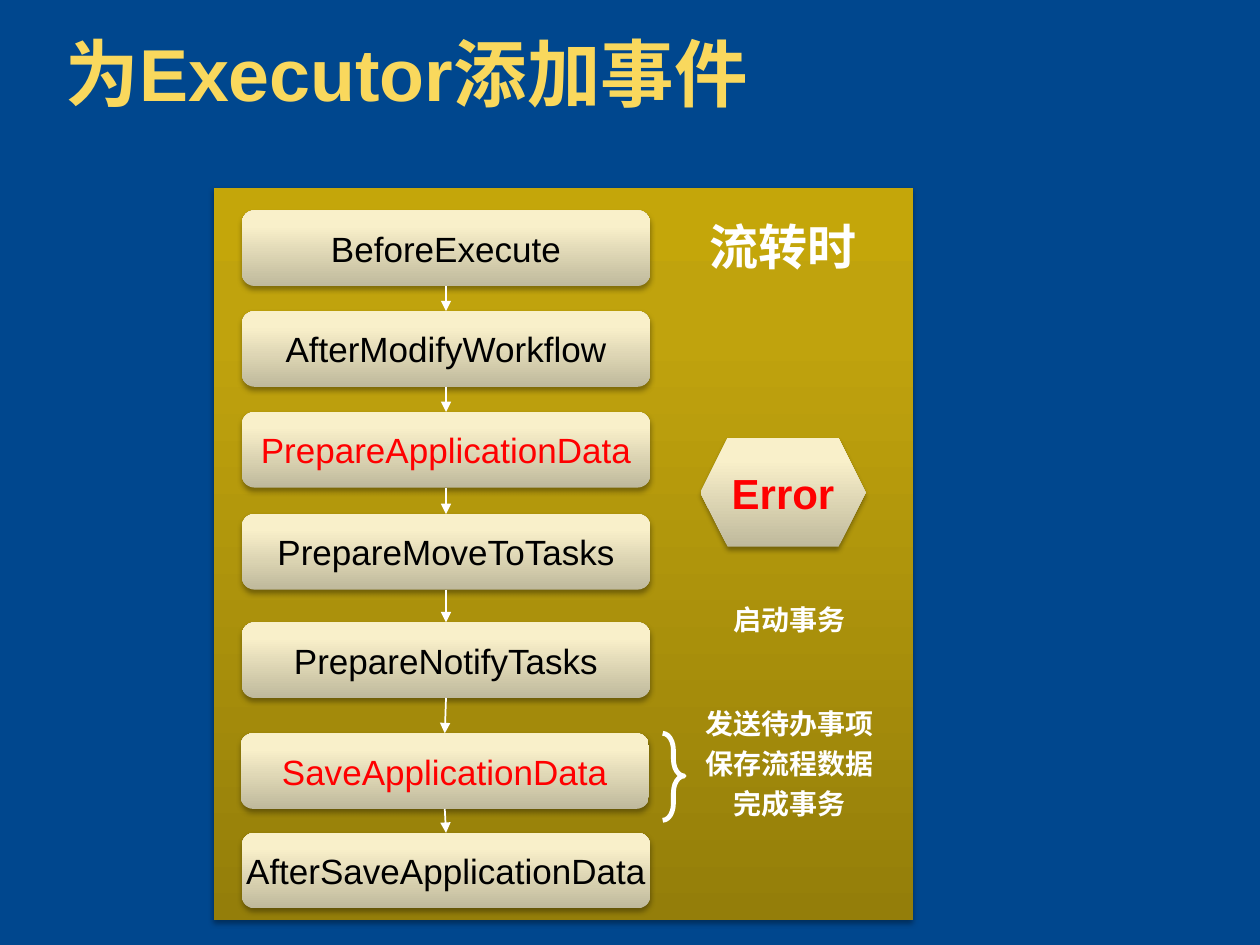
from lxml.etree import SubElement
from pptx import Presentation
from pptx.dml.color import RGBColor
from pptx.enum.shapes import MSO_CONNECTOR, MSO_SHAPE
from pptx.enum.text import MSO_ANCHOR, PP_ALIGN
from pptx.oxml import parse_xml
from pptx.oxml.ns import nsdecls, qn
from pptx.util import Inches, Pt

COLORS = {
    "background": "00478E", "title": "F9D85D", "white": "FFFFFF",
    "black": "000000", "red": "FF0000",
}
GOLD = [(0, "947E0A"), (80, "C0A30D"), (100, "C4A60A")]
CREAM = [(0, "BFB99C"), (80, "F9F0CA"), (100, "FBF1CA")]
FONT = "Arial"

TITLE = "为Executor添加事件"
STEPS = [
    ("BeforeExecute", 1.92, 1.67, "black"),
    ("AfterModifyWorkflow", 1.92, 2.47, "black"),
    ("PrepareApplicationData", 1.92, 3.27, "red"),
    ("PrepareMoveToTasks", 1.92, 4.08, "black"),
    ("PrepareNotifyTasks", 1.92, 4.94, "black"),
    ("SaveApplicationData", 1.91, 5.82, "red"),
    ("AfterSaveApplicationData", 1.92, 6.61, "black"),
]
STEP_WIDTH, STEP_HEIGHT = 3.24, 0.6
LABELS = [
    ("流转时", 5.44, 1.67, 0.57, 28),
    ("启动事务", 5.49, 4.73, 0.37, 16),
    ("发送待办事项", 5.49, 5.56, 0.37, 16),
    ("保存流程数据", 5.49, 5.88, 0.37, 16),
    ("完成事务", 5.49, 6.19, 0.37, 16),
]
LABEL_WIDTH = 1.55


def color(name):
    return RGBColor.from_string(COLORS[name])


def write(frame, text, size, color_name, bold=False, align=PP_ALIGN.CENTER):
    paragraph = frame.paragraphs[0]
    paragraph.alignment = align
    run = paragraph.add_run()
    run.text = text
    run.font.name = FONT
    run.font.size = Pt(size)
    run.font.bold = bold
    run.font.color.rgb = color(color_name)
    return paragraph


def add_raised_shape(shapes, kind, box, stops):
    shape = shapes.add_shape(kind, *map(Inches, box))
    shape.line.fill.background()
    shape.shadow.inherit = False
    properties = shape.element.spPr
    stop_xml = "".join(
        f'<a:gs pos="{position * 1000}"><a:srgbClr val="{value}"/></a:gs>'
        for position, value in stops
    )
    properties.insert(2, parse_xml(
        f'<a:gradFill {nsdecls("a")} rotWithShape="1"><a:gsLst>{stop_xml}</a:gsLst>'
        '<a:lin ang="16200000" scaled="0"/></a:gradFill>'
    ))
    properties.find(qn("a:effectLst")).append(parse_xml(
        f'<a:outerShdw {nsdecls("a")} blurRad="39370" dist="22860" dir="5400000" '
        'rotWithShape="0"><a:srgbClr val="000000"><a:alpha val="35000"/></a:srgbClr>'
        '</a:outerShdw>'
    ))
    return shape


def add_caption(shape, text, size, color_name, bold=False):
    frame = shape.text_frame
    frame.word_wrap = False
    frame.vertical_anchor = MSO_ANCHOR.MIDDLE
    write(frame, text, size, color_name, bold)


def add_arrow(shapes, start, end):
    arrow = shapes.add_connector(MSO_CONNECTOR.STRAIGHT, *map(Inches, start + end))
    arrow.line.color.rgb = color("white")
    arrow.line.width = Pt(1)
    properties = arrow.element.spPr
    SubElement(properties.find(qn("a:ln")), qn("a:tailEnd"), type="triangle")
    SubElement(properties, qn("a:effectLst"))


presentation = Presentation()
presentation.slide_width = Inches(10)
presentation.slide_height = Inches(7.5)
slide = presentation.slides.add_slide(presentation.slide_layouts[5])
slide.background.fill.solid()
slide.background.fill.fore_color.rgb = color("background")

title = slide.shapes.title
title.left, title.top, title.width, title.height = map(Inches, (0.42, 0.25, 8.21, 1.37))
title.text_frame.vertical_anchor = MSO_ANCHOR.TOP
title_paragraph = write(title.text_frame, TITLE, 42, "title", True, PP_ALIGN.LEFT)
title_paragraph.line_spacing = 0.9

shapes = slide.shapes.add_group_shape().shapes
add_raised_shape(shapes, MSO_SHAPE.RECTANGLE, (1.7, 1.49, 5.55, 5.81), GOLD)

for text, left, top, color_name in STEPS:
    step = add_raised_shape(
        shapes, MSO_SHAPE.FLOWCHART_ALTERNATE_PROCESS,
        (left, top, STEP_WIDTH, STEP_HEIGHT), CREAM,
    )
    add_caption(step, text, 20, color_name)

for (_, left, top, _), (_, next_left, next_top, _) in zip(STEPS, STEPS[1:]):
    add_arrow(
        shapes,
        (left + STEP_WIDTH / 2, top + STEP_HEIGHT),
        (next_left + STEP_WIDTH / 2, next_top),
    )

error = add_raised_shape(shapes, MSO_SHAPE.HEXAGON, (5.56, 3.48, 1.31, 0.86), CREAM)
add_caption(error, "Error", 24, "red", True)

brace = shapes.add_shape(MSO_SHAPE.RIGHT_BRACE, *map(Inches, (5.26, 5.82, 0.17, 0.69)))
brace.adjustments[0] = 0.78
brace.adjustments[1] = 0.49
brace.fill.background()
brace.line.color.rgb = color("white")
brace.line.width = Pt(2.75)
brace.shadow.inherit = False

for text, left, top, height, size in LABELS:
    label = shapes.add_textbox(*map(Inches, (left, top, LABEL_WIDTH, height)))
    label.text_frame.word_wrap = True
    write(label.text_frame, text, size, "white", True)

presentation.save("out.pptx")
